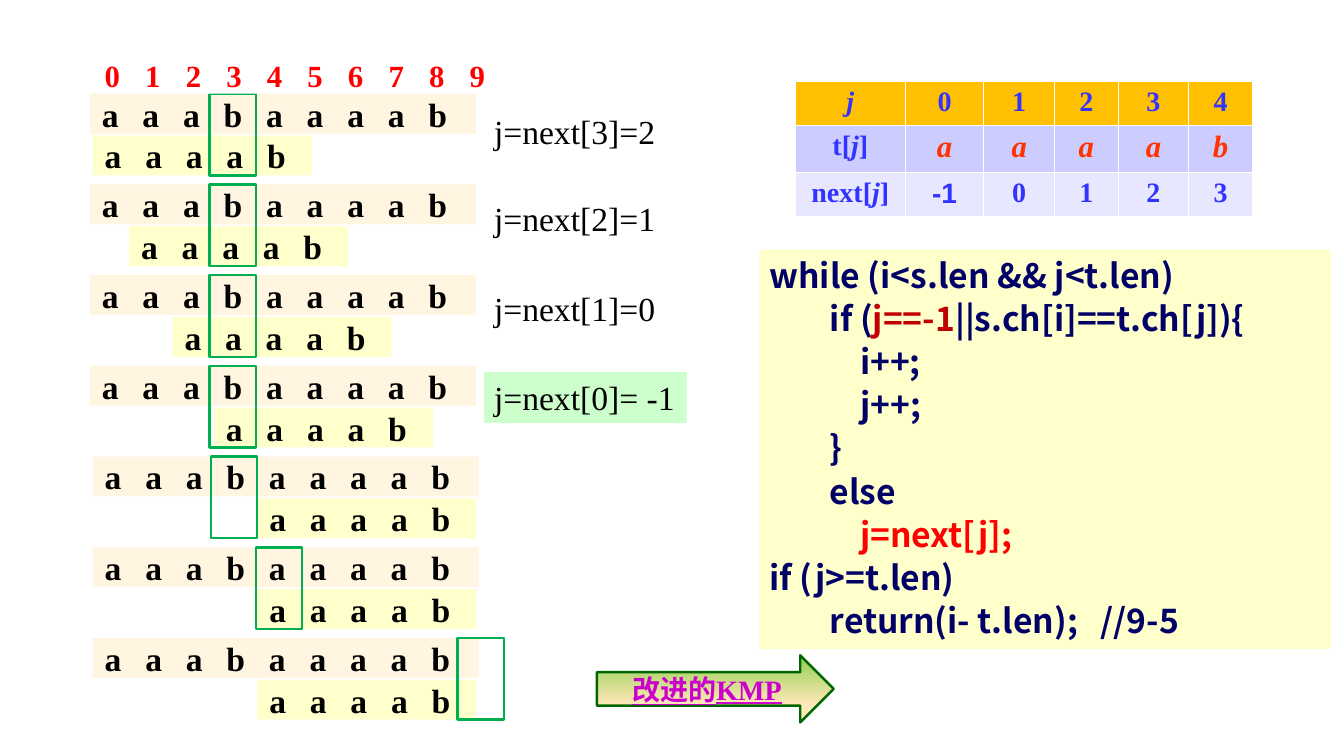
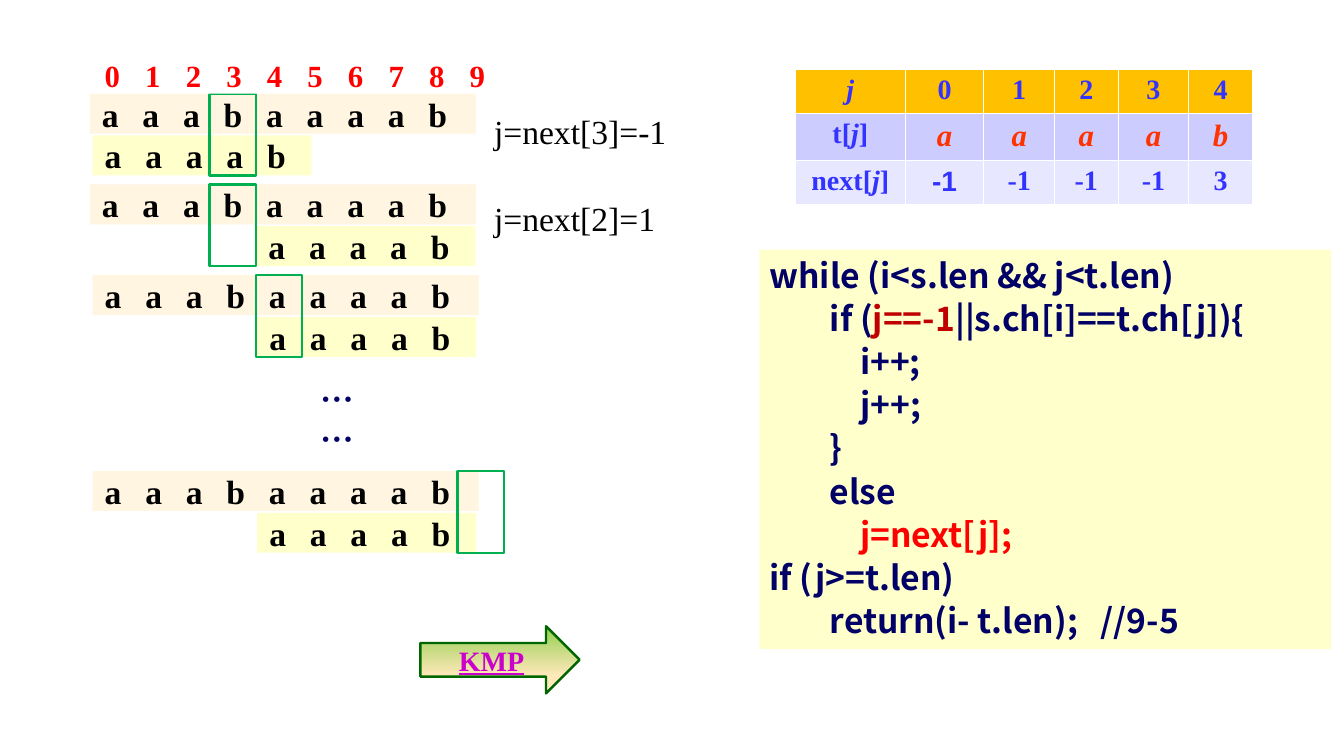
from copy import deepcopy
from dataclasses import dataclass, replace

from pptx import Presentation
from pptx.dml.color import RGBColor
from pptx.enum.shapes import MSO_SHAPE
from pptx.enum.text import MSO_ANCHOR, PP_ALIGN
from pptx.oxml.ns import qn
from pptx.oxml.xmlchemy import OxmlElement
from pptx.util import Inches, Pt

SERIF = "Times New Roman"
SANS = "Noto Sans CJK SC"


@dataclass(frozen=True)
class Style:
    """Describe the look of a span of text."""

    size: int = 24
    color: str = "000000"
    font: str = SERIF
    bold: bool = True
    italic: bool = False
    underline: bool = False
    spacing: float = 0


LETTERS = Style(spacing=17)
INDEX = Style(size=22, color="FF0000", spacing=18)
LABEL = Style(bold=False)
CODE = Style(color="000066", font=SANS)
CONDITION = replace(CODE, color="C00000")
JUMP = replace(CODE, color="FF0000")
CODE_GAP = replace(CODE, spacing=10.8)
CELL = Style(size=20, color="3333FF")
CHARACTER = Style(size=22, color="FF3300", italic=True)
LINK = Style(size=20, color="CC00CC", underline=True)

SOURCE = "aaabaaaab"
PATTERN = "aaaab"
INDENT = 0.3
CODE_LINES = [
    (0, [("while (i<s.len && j<t.len)", CODE)]),
    (2, [("if (", CODE), ("j==-1", CONDITION), ("||s.ch[i]==t.ch[j]){", CODE)]),
    (3, [("i++;", CODE)]),
    (3, [("j++;", CODE)]),
    (2, [("}", CODE)]),
    (2, [("else", CODE)]),
    (3, [("j=next[j];", JUMP)]),
    (0, [("if (j>=t.len)", CODE)]),
    (2, [("return(i- t.len);", CODE), (" ", CODE_GAP), ("//9-5", CODE)]),
]
COLUMN_WIDTHS = [2.66, 1.9, 1.71, 1.54, 1.71, 1.54]
ROW_HEIGHTS = [0.49, 0.52, 0.48]
ROW_FILLS = ["FFC000", "CCCCFF", "E7E7FF"]
ARROW_STOPS = [(0, "92D050"), (0.74, "FFE8BA"), (0.83, "FFE8BA"), (1, "FFF0D1")]


def rgb(color):
    """Turn a hex string into a colour."""
    return RGBColor.from_string(color)


class Board:
    """Draw string matching steps on a grid of letter columns and step rows."""

    left, top, column, row = 0.89, 0.93, 0.41, 0.9

    def __init__(self):
        """Start an empty wide deck."""
        self.deck = Presentation()
        self.deck.slide_width = Inches(13.33)
        self.deck.slide_height = Inches(7.5)
        self.page = None

    def new_page(self):
        """Add a blank page and make it current."""
        self.page = self.deck.slides.add_slide(self.deck.slide_layouts[6])

    def place(self, column, row, columns, rows):
        """Convert grid units into a left, top, width and height."""
        return (Inches(self.left + column * self.column),
                Inches(self.top + row * self.row),
                Inches(columns * self.column), Inches(rows * self.row))

    def style_span(self, span, style):
        """Apply a style to a span."""
        font = span.font
        font.size, font.name = Pt(style.size), style.font
        font.bold, font.italic = style.bold, style.italic
        font.underline = style.underline
        font.color.rgb = rgb(style.color)
        properties = font._element
        if style.spacing:
            properties.set("spc", str(round(style.spacing * 100)))
        east_asian = OxmlElement("a:ea")
        east_asian.set("typeface", SANS)
        properties.find(qn("a:latin")).addnext(east_asian)

    def set_text(self, para, text, style):
        """Fill a paragraph with text of one style."""
        para.text = text
        for span in para.runs:
            self.style_span(span, style)

    def set_spans(self, para, spans):
        """Fill a paragraph with spans of several styles."""
        for text, style in spans:
            span = para.add_run()
            span.text = text
            self.style_span(span, style)

    def shape(self, kind, area, fill=None, line=None):
        """Add a flat preset shape."""
        box = self.page.shapes.add_shape(kind, *self.place(*area))
        box.shadow.inherit = False
        if fill:
            box.fill.solid()
            box.fill.fore_color.rgb = rgb(fill)
        else:
            box.fill.background()
        if line:
            box.line.color.rgb = rgb(line)
            box.line.width = Pt(1.75)
        else:
            box.line.fill.background()
        return box

    def strip(self, area, text, fill, style=LETTERS):
        """Add a band of widely spaced characters."""
        frame = self.shape(MSO_SHAPE.RECTANGLE, area, fill).text_frame
        frame.margin_left = Inches(0.12)
        frame.margin_top = frame.margin_right = frame.margin_bottom = 0
        frame.vertical_anchor = MSO_ANCHOR.MIDDLE
        frame.word_wrap = True
        para = frame.paragraphs[0]
        para.alignment = PP_ALIGN.LEFT
        self.set_text(para, text, style)

    def step(self, row, source, pattern, marker):
        """Add the source, the shifted pattern and the marked comparison."""
        self.strip((source, row, 9.34, 0.44), SOURCE, "FFF5E0")
        self.strip((pattern, row + 0.46, 5.3, 0.44), PATTERN, "FFFFCC")
        self.shape(MSO_SHAPE.RECTANGLE, (marker, row, 1.12, 0.9), line="00B050")

    def indices(self):
        """Add the position numbers above the first step."""
        self.strip((0.07, -0.41, 11.78, 0.41), "0123456789", "FFFFFF", INDEX)

    def text_box(self, area, fill=None, wrap=True):
        """Add a text box and return its frame."""
        box = self.page.shapes.add_textbox(*self.place(*area))
        if fill:
            box.fill.solid()
            box.fill.fore_color.rgb = rgb(fill)
        box.text_frame.word_wrap = wrap
        return box.text_frame

    def label(self, row, text, columns=4.41, fill=None):
        """Add the next value beside a step."""
        frame = self.text_box((9.54, row + 0.09, columns, 0.56), fill, False)
        self.set_text(frame.paragraphs[0], text, LABEL)

    def dots(self, row):
        """Add the ellipsis for the steps left out."""
        para = self.text_box((5.34, row, 1.6, 1)).paragraphs[0]
        para.line_spacing = Pt(28.8)
        self.set_text(para, "……", CODE)

    def code(self):
        """Add the code panel."""
        frame = self.text_box((16.2, 1.72, 13.83, 4.4), "FFFFCC")
        for number, (level, spans) in enumerate(CODE_LINES):
            para = frame.add_paragraph() if number else frame.paragraphs[0]
            para.space_before = Pt(2)
            para.line_spacing = Pt(28.8)
            properties = para._p.get_or_add_pPr()
            properties.set("marL", str(Inches(level * INDENT)))
            properties.set("indent", "0")
            self.set_spans(para, spans)

    def border(self, cell):
        """Draw thin white lines around a cell."""
        properties = cell._tc.get_or_add_tcPr()
        for position, side in enumerate(("lnL", "lnR", "lnT", "lnB")):
            line = OxmlElement(f"a:{side}")
            line.set("w", str(Pt(1)))
            fill = OxmlElement("a:solidFill")
            color = OxmlElement("a:srgbClr")
            color.set("val", "FFFFFF")
            fill.append(color)
            line.append(fill)
            properties.insert(position, line)

    def next_table(self, row, values):
        """Add the table of next values."""
        rows = [["j", *"01234"], ["t[j]", *PATTERN], ["next[j]", *values]]
        area = self.place(17.07, row, sum(COLUMN_WIDTHS), sum(ROW_HEIGHTS))
        table = self.page.shapes.add_table(3, 6, *area).table
        for column, width in zip(table.columns, COLUMN_WIDTHS):
            column.width = Inches(width * self.column)
        for line, height in zip(table.rows, ROW_HEIGHTS):
            line.height = Inches(height * self.row)
        for r, texts in enumerate(rows):
            for c, text in enumerate(texts):
                cell = table.cell(r, c)
                cell.fill.solid()
                cell.fill.fore_color.rgb = rgb(ROW_FILLS[r])
                self.border(cell)
                style = CHARACTER if r == 1 and c else CELL
                if (r, c) == (2, 1):
                    style = replace(CELL, font="Arial")
                para = cell.text_frame.paragraphs[0]
                para.alignment = PP_ALIGN.CENTER
                self.set_spans(para, [
                    (piece, replace(style, italic=style.italic or piece == "j"))
                    for piece in text.partition("j") if piece])

    def arrow(self, column, row, columns, text):
        """Add a gradient arrow with a caption."""
        box = self.shape(MSO_SHAPE.RIGHT_ARROW, (column, row, columns, 0.74),
                         line="006600")
        box.fill.gradient()
        box.fill.gradient_angle = 270
        stops = box._element.spPr.find(qn("a:gradFill")).find(qn("a:gsLst"))
        while len(stops) < len(ARROW_STOPS):
            stops.append(deepcopy(stops[0]))
        for stop, (position, color) in zip(box.fill.gradient_stops, ARROW_STOPS):
            stop.position = position
            stop.color.rgb = rgb(color)
        para = box.text_frame.paragraphs[0]
        para.alignment = PP_ALIGN.CENTER
        self.set_text(para, text, LINK)


def matching_page(board, steps, labels, table_row, values):
    """Build what both pages share."""
    board.new_page()
    for step in steps:
        board.step(*step)
    board.indices()
    for label in labels:
        board.label(*label)
    board.code()
    board.next_table(table_row, values)


def main():
    """Build and save the deck."""
    board = Board()
    matching_page(
        board,
        [(0, 0, 0.07, 2.9), (1, 0, 0.95, 2.9), (2, 0, 2, 2.9), (3, 0, 3, 2.9),
         (4, 0.07, 4.05, 2.93), (5, 0.07, 4.05, 4.02), (6, 0.07, 4.05, 8.9)],
        [(0.05, "j=next[3]=2"), (1, "j=next[2]=1"), (2, "j=next[1]=0"),
         (2.98, "j=next[0]= -1", 4.9, "CCFFCC")],
        -0.14, ["-1", "0", "1", "2", "3"])
    board.arrow(12.27, 6.19, 5.73, "改进的KMP")

    matching_page(
        board,
        [(0, 0, 0.07, 2.9), (1, 0, 4.03, 2.9), (2, 0.07, 4.05, 4.02),
         (4.16, 0.07, 4.05, 8.9)],
        [(0.05, "j=next[3]=-1", 4.71), (1, "j=next[2]=1")],
        -0.27, ["-1", "-1", "-1", "-1", "3"])
    board.dots(3.09)
    board.arrow(8, 5.87, 3.85, "KMP")
    board.deck.save("out.pptx")


if __name__ == "__main__":
    main()
